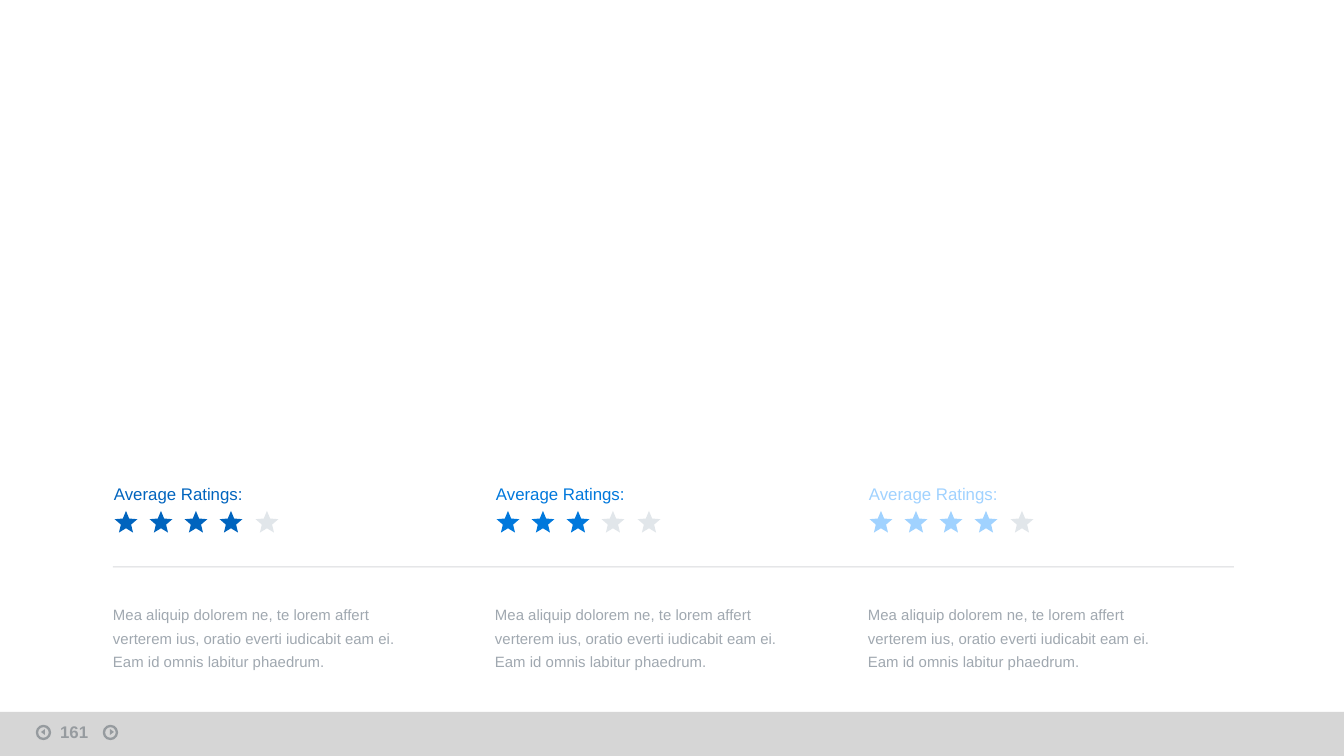
import math
import pptx
import pptx.dml.color
import pptx.enum.shapes
import pptx.enum.text
import pptx.oxml
import pptx.oxml.ns
import pptx.util

PX = 914400 / 134.4
SHAPE = pptx.enum.shapes.MSO_SHAPE
ANCHOR = pptx.enum.text.MSO_ANCHOR


class Theme:
    font = "Arial"
    ink = "051423"
    bar = "D2D2D2"
    rule = "646E78"
    empty = "E1E6EA"
    body = "A0A8B0"
    big = 9
    small = 8


# left edge, colour, filled stars
COLUMNS = [(113, "0064BE", 4), (495, "0078DC", 3), (868, "A0D2FF", 4)]
STARS = 5
BODY = [
    "Mea aliquip dolorem ne, te lorem affert",
    "verterem ius, oratio everti iudicabit eam ei. Eam id omnis labitur phaedrum.",
]


def emu(*sizes):
    return [pptx.util.Emu(round(size * PX)) for size in sizes]


def paint(fill, color, alpha=100):
    """Fill with a solid colour; alpha is the opacity in percent."""
    fill.solid()
    fill.fore_color.rgb = pptx.dml.color.RGBColor.from_string(color)
    if alpha < 100:
        node = fill._xPr.find(".//" + pptx.oxml.ns.qn("a:srgbClr"))
        tag = pptx.oxml.parse_xml(
            f'<a:alpha {pptx.oxml.ns.nsdecls("a")} val="{alpha * 1000}"/>')
        node.append(tag)


def add_form(slide, kind, box, color, alpha, turn=0, line=None):
    """Add a preset shape, outlined if a line width is given, else filled."""
    form = slide.shapes.add_shape(kind, *emu(*box))
    form.shadow.inherit = False
    form.rotation = turn
    if line:
        form.fill.background()
        form.line.width = pptx.util.Pt(line)
        paint(form.line.fill, color, alpha)
    else:
        form.line.fill.background()
        paint(form.fill, color, alpha)


def add_text(slide, box, lines, size, color, alpha=100, bold=False,
             space=None, frame=None):
    text = slide.shapes.add_textbox(*emu(*box)).text_frame
    text.word_wrap = True
    for name, value in (frame or {}).items():
        setattr(text, name, value)
    look = {"name": Theme.font, "size": pptx.util.Pt(size), "bold": bold}
    for i, words in enumerate(lines):
        para = text.paragraphs[0] if i == 0 else text.add_paragraph()
        para.line_spacing = space
        run = para.add_run()
        run.text = words
        for name, value in look.items():
            setattr(run.font, name, value)
        paint(run.font.fill, color, alpha)


def add_star(slide, x, y, color, outer=12, inner=5.4):
    """Add a five-pointed star centred on x, y."""
    dots = []
    for i in range(10):
        reach = inner if i % 2 else outer
        turn = i * math.pi / 5
        dots.append(emu(x + reach * math.sin(turn), y - reach * math.cos(turn)))
    pen = slide.shapes.build_freeform(*dots[0])
    pen.add_line_segments(dots[1:], close=True)
    star = pen.convert_to_shape()
    star.shadow.inherit = False
    star.line.fill.background()
    paint(star.fill, color)


def add_rule(slide, left, right, y):
    rule = slide.shapes.add_connector(
        pptx.enum.shapes.MSO_CONNECTOR.STRAIGHT, *emu(left, y, right, y))
    rule.line.width = pptx.util.Pt(0.5)
    paint(rule.line.fill, Theme.rule, 25)
    rule._element.spPr.append(pptx.oxml.parse_xml(
        f'<a:effectLst {pptx.oxml.ns.nsdecls("a")}/>'))


def add_footer(slide):
    add_form(slide, SHAPE.RECTANGLE, (0, 712, 1344, 44), Theme.bar, 90)
    for x, tip, turn in ((104, 109, 90), (37, 40, 270)):
        add_form(slide, SHAPE.OVAL, (x, 726, 13, 13), Theme.ink, 30, line=1.25)
        add_form(slide, SHAPE.ISOSCELES_TRIANGLE, (tip, 730, 6, 4),
                 Theme.ink, 30, turn)
    add_text(slide, (47, 715, 62, 28), ["161"], Theme.big, Theme.ink, 30, True)


def add_column(slide, left, color, score):
    frame = {"vertical_anchor": ANCHOR.MIDDLE, "margin_left": 0,
             "margin_right": 0, "margin_top": 0, "margin_bottom": 0}
    add_text(slide, (left + 1, 477, 136, 26), ["Average Ratings:"],
             Theme.big, color, space=1.4, frame=frame)
    for i in range(STARS):
        add_star(slide, left + 13 + i * 141 // 4, 523,
                 color if i < score else Theme.empty)
    add_text(slide, (left, 597, 307, 77), BODY, Theme.small, Theme.body,
             space=1.3, frame=frame)


def main():
    deck = pptx.Presentation()
    deck.slide_width, deck.slide_height = emu(1344, 756)
    slide = deck.slides.add_slide(deck.slide_layouts[6])
    add_footer(slide)
    add_rule(slide, 113, 1234, 567)
    for column in COLUMNS:
        add_column(slide, *column)
    deck.save("out.pptx")


if __name__ == "__main__":
    main()
